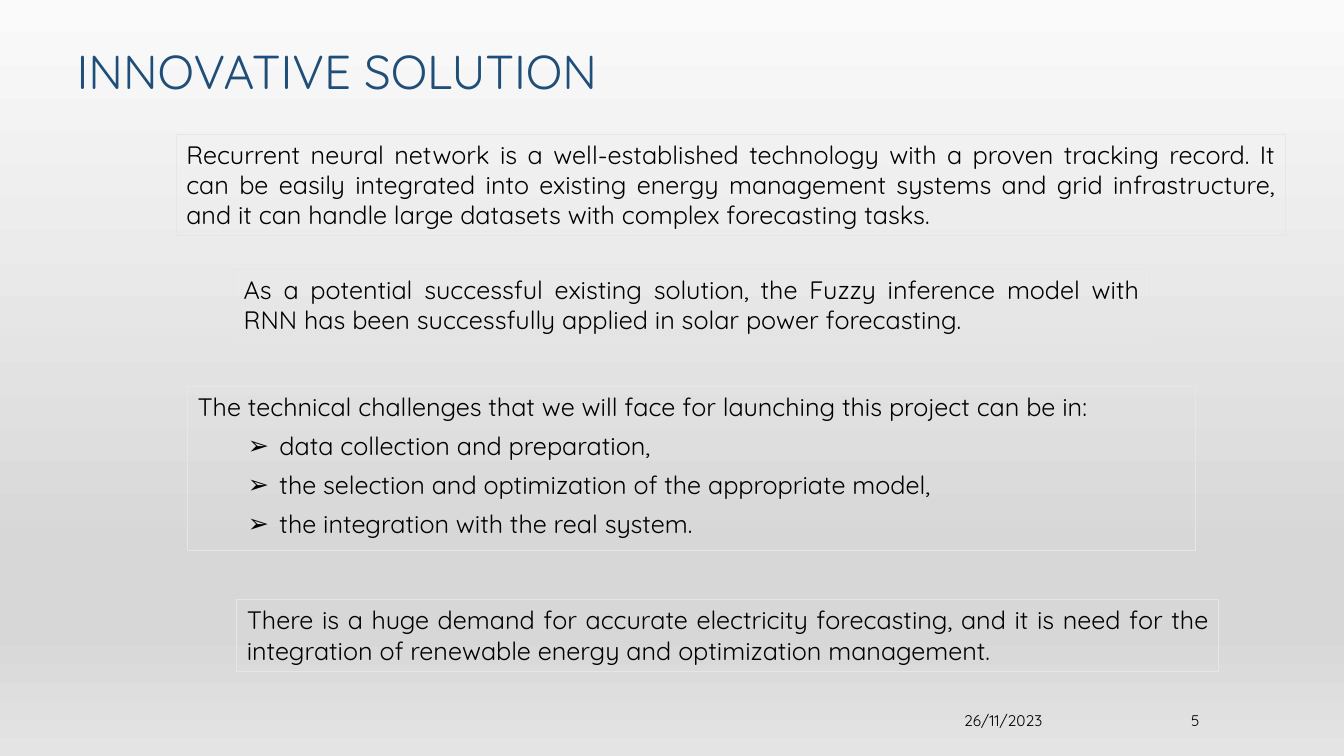
from copy import deepcopy

from lxml import etree
from pptx import Presentation
from pptx.dml.color import RGBColor
from pptx.enum import text
from pptx.oxml.ns import qn
from pptx.util import Pt

# Content
TITLE = "INNOVATIVE SOLUTION"
STATEMENTS = [  # left, top, width, height, wording
    (126, 95.8, 792, 72.7,
     "Recurrent neural network is a well-established technology with a proven "
     "tracking record. It can be easily integrated into existing energy management "
     "systems and grid infrastructure, and it can handle large datasets with "
     "complex forecasting tasks."),
    (167, 192.2, 653.8, 51.1,
     "As a potential successful existing solution, the Fuzzy inference model with "
     "RNN has been successfully applied in solar power forecasting."),
    (169.2, 428.4, 701.3, 51.1,
     "There is a huge demand for accurate electricity forecasting, and it is need "
     "for the integration of renewable energy and optimization management."),
]
CHALLENGES_INTRO = ("The technical challenges that we will face for launching "
                    "this project can be in:")
CHALLENGES = [
    "data collection and preparation,",
    "the selection and optimization of the appropriate model,",
    "the integration with the real system.",
]
FOOTER = [(641.5, 507.6, 110.2, 14.4, "26/11/2023"),
          (774, 507.6, 90, 14.4, "5")]

THEME = {
    "font": "Quicksand",
    "title": "1F4E79", "ink": "000000", "border": "E7E6E6",
    "title_size": 34, "body_size": 18, "footer_size": 11,
    "backdrop": [(0, "FAFAFA"), (74, "D7D7D7"), (83, "D7D7D7"), (100, "E4E4E4")],
}
LEFT, JUSTIFY, RIGHT = (text.PP_ALIGN.LEFT, text.PP_ALIGN.JUSTIFY,
                        text.PP_ALIGN.RIGHT)


def place(part, left, top, width, height):
    part.left, part.top = Pt(left), Pt(top)
    part.width, part.height = Pt(width), Pt(height)


def prepare(frame, anchor):
    frame.word_wrap = True
    frame.auto_size = text.MSO_AUTO_SIZE.NONE
    frame.vertical_anchor = anchor


def write(paragraph, wording, size, color=THEME["ink"], align=LEFT, after=0):
    paragraph.text = wording
    paragraph.alignment = align
    paragraph.space_before, paragraph.space_after = Pt(0), Pt(after)
    font = paragraph.font
    font.name, font.size = THEME["font"], Pt(size)
    font.color.rgb = RGBColor.from_string(color)


def outline(part):
    part.line.color.rgb = RGBColor.from_string(THEME["border"])
    part.line.width = Pt(0.75)


def indent(paragraph, margin, hanging, bullet=None):
    props = paragraph._p.get_or_add_pPr()
    props.set("marL", str(Pt(margin)))
    props.set("indent", str(Pt(-hanging)))
    if bullet:
        etree.SubElement(props, qn("a:buFont")).set("typeface", "Wingdings")
        props[-1].set("typeface", "Arial")
        etree.SubElement(props, qn("a:buChar")).set("char", bullet)
    else:
        etree.SubElement(props, qn("a:buNone"))


deck = Presentation()
deck.slide_width, deck.slide_height = Pt(960), Pt(540)
slide = deck.slides.add_slide(deck.slide_layouts[1])

# Backdrop gradient, light at the top
backdrop = slide.background.fill
backdrop.gradient()
backdrop.gradient_angle = 270
stops = next(slide._element.iter(qn("a:gsLst")))
while len(stops) < len(THEME["backdrop"]):
    stops.append(deepcopy(stops[0]))
for stop, (position, color) in zip(backdrop.gradient_stops, THEME["backdrop"]):
    stop.position = position / 100
    stop.color.rgb = RGBColor.from_string(color)

# Title
title = slide.shapes.title
place(title, 47.5, 12.2, 581.8, 62.6)
prepare(title.text_frame, text.MSO_ANCHOR.BOTTOM)
heading = title.text_frame.paragraphs[0]
write(heading, TITLE, THEME["title_size"], THEME["title"])
heading.line_spacing = 0.9

# Outlined statements
for left, top, width, height, wording in STATEMENTS:
    statement = slide.shapes.add_textbox(Pt(left), Pt(top), Pt(width), Pt(height))
    outline(statement)
    prepare(statement.text_frame, text.MSO_ANCHOR.TOP)
    write(statement.text_frame.paragraphs[0], wording, THEME["body_size"],
          align=JUSTIFY)

# Technical challenges
challenges = slide.placeholders[1]
place(challenges, 133.9, 275.8, 720, 117.4)
outline(challenges)
prepare(challenges.text_frame, text.MSO_ANCHOR.TOP)
intro = challenges.text_frame.paragraphs[0]
indent(intro, 0, 0)
write(intro, CHALLENGES_INTRO, THEME["body_size"], align=JUSTIFY, after=6.3)
for wording in CHALLENGES:
    challenge = challenges.text_frame.add_paragraph()
    challenge.level = 1
    indent(challenge, 58.5, 22.5, "➢")
    write(challenge, wording, THEME["body_size"], after=6.3)

# Date and slide number
for left, top, width, height, wording in FOOTER:
    note = slide.shapes.add_textbox(Pt(left), Pt(top), Pt(width), Pt(height))
    prepare(note.text_frame, text.MSO_ANCHOR.MIDDLE)
    write(note.text_frame.paragraphs[0], wording, THEME["footer_size"], align=RIGHT)

deck.save("out.pptx")
